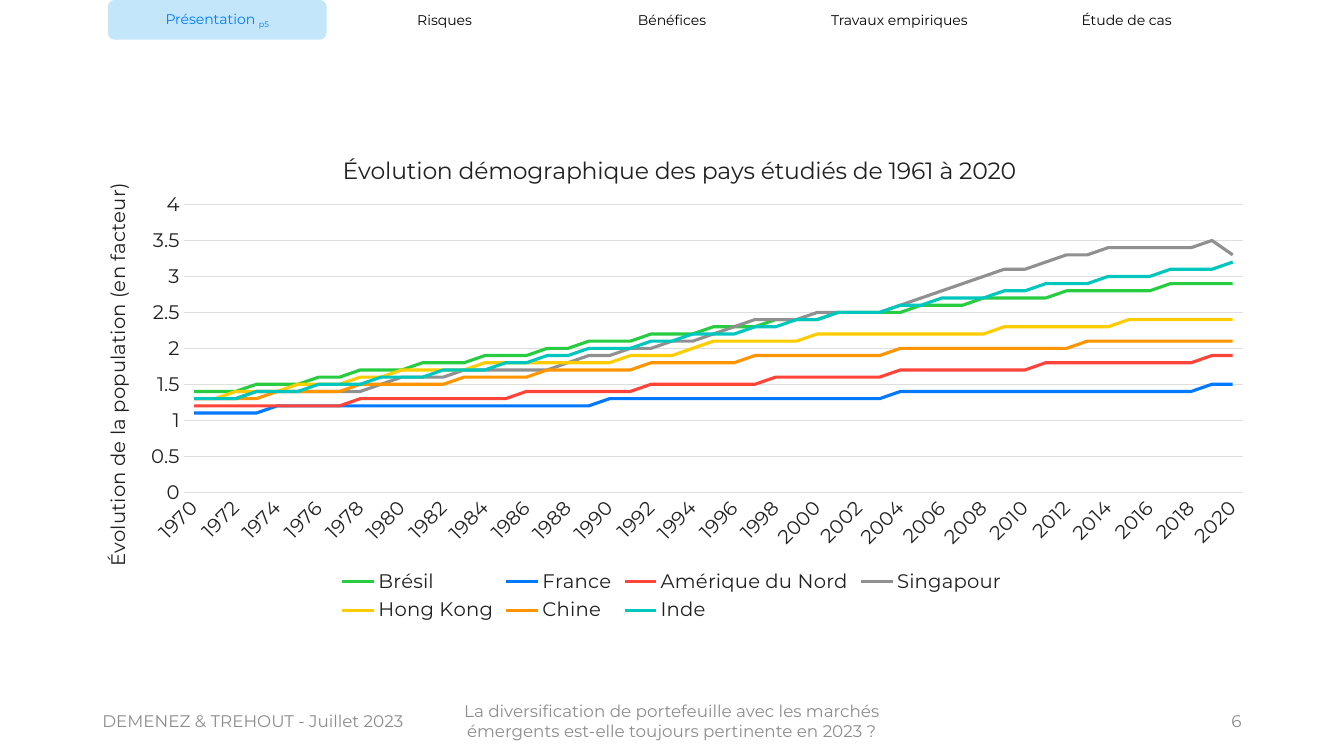
from lxml import etree
from pptx import Presentation
from pptx import util as u
from pptx.chart.data import CategoryChartData
from pptx.dml.color import RGBColor
from pptx.enum import chart as charts, shapes, text
from pptx.oxml.ns import qn

FONT = "Montserrat"
WHITE = RGBColor(0xFF, 0xFF, 0xFF)
BLACK = RGBColor(0x00, 0x00, 0x00)
TAB_FILL = RGBColor(0xC3, 0xE6, 0xFB)
TAB_TEXT = RGBColor(0x00, 0x7C, 0xFB)
CHART_TEXT = RGBColor(0x21, 0x21, 0x21)
GRID = RGBColor(0xDE, 0xDE, 0xDE)
FOOTER = RGBColor(0x8D, 0x8D, 0x8D)
GREEN = RGBColor(0x28, 0xCC, 0x41)
BLUE = RGBColor(0x00, 0x79, 0xFF)
RED = RGBColor(0xFF, 0x45, 0x3A)
GREY = RGBColor(0x90, 0x90, 0x90)
YELLOW = RGBColor(0xFF, 0xCC, 0x00)
ORANGE = RGBColor(0xFF, 0x95, 0x00)
TEAL = RGBColor(0x00, 0xC7, 0xBD)

TABS = ["Présentation ", "Risques", "Bénéfices", "Travaux empiriques", "Étude de cas"]
YEARS = range(1970, 2021)
# Turning points of each curve, by year
POPULATION = [
    ("Brésil", GREEN, {1970: 1.36, 1985: 1.91, 2000: 2.44, 2010: 2.71, 2020: 2.93}),
    ("France", BLUE, {1970: 1.11, 1974: 1.16, 1991: 1.26, 2005: 1.36, 2020: 1.46}),
    ("Amérique du Nord", RED, {1970: 1.16, 1986: 1.36, 2004: 1.66, 2019: 1.86, 2020: 1.86}),
    ("Singapour", GREY, {
        1970: 1.27, 1973: 1.36, 1978: 1.44, 1981: 1.61, 1983: 1.67, 1985: 1.67, 1987: 1.73,
        1990: 1.92, 1994: 2.14, 1997: 2.39, 1999: 2.44, 2000: 2.52, 2003: 2.53, 2005: 2.68,
        2007: 2.94, 2008: 3.03, 2010: 3.14, 2012: 3.28, 2015: 3.4, 2019: 3.46, 2020: 3.32}),
    ("Hong Kong", YELLOW, {
        1970: 1.3, 1975: 1.46, 1977: 1.49, 1978: 1.59, 1980: 1.66, 1984: 1.76, 1990: 1.84,
        1994: 1.98, 1995: 2.07, 2000: 2.16, 2009: 2.26, 2018: 2.41, 2020: 2.38}),
    ("Chine", ORANGE, {1970: 1.26, 1978: 1.46, 1992: 1.76, 1997: 1.86, 2004: 1.96,
                       2013: 2.06, 2020: 2.12}),
    ("Inde", TEAL, {1970: 1.27, 1985: 1.77, 1989: 1.96, 1996: 2.24, 2001: 2.46, 2011: 2.86,
                    2020: 3.16}),
]


def yearly_values(turns):
    """Fill in every year between the turning points, to one decimal."""
    values = []
    for year in YEARS:
        before = max(turn for turn in turns if turn <= year)
        after = min(turn for turn in turns if turn >= year)
        share = (year - before) / max(after - before, 1)
        values.append(round(turns[before] + share * (turns[after] - turns[before]), 1))
    return values


def style(font, size, color):
    font.name = FONT
    font.size = u.Pt(size)
    font.bold = False
    font.color.rgb = color


def add_navigation(page, left, top, width, height):
    gap = 0.22
    tab_width = (width - gap * (len(TABS) - 1)) / len(TABS)
    for index, name in enumerate(TABS):
        active = index == 0
        tab = page.shapes.add_shape(
            shapes.MSO_SHAPE.ROUNDED_RECTANGLE, u.Cm(left + index * (tab_width + gap)),
            u.Cm(top), u.Cm(tab_width), u.Cm(height))
        tab.shadow.inherit = False
        tab.line.fill.background()
        if active:
            tab.fill.solid()
            tab.fill.fore_color.rgb = TAB_FILL
        else:
            tab.fill.background()
        tab.text_frame.vertical_anchor = text.MSO_ANCHOR.MIDDLE
        para = tab.text_frame.paragraphs[0]
        para.text = name
        para.alignment = text.PP_ALIGN.CENTER
        if active:
            page_mark = para.add_run()
            page_mark.text = "p5"
            page_mark.font._element.set("baseline", "-25000")
        for span in para.runs:
            style(span.font, 10, TAB_TEXT if active else BLACK)


def set_layout(parent, index, **fractions):
    """Place a chart part by fractions of the chart's width and height."""
    for old in parent.findall(qn("c:layout")):
        parent.remove(old)
    layout = etree.Element(qn("c:layout"))
    parent.insert(index, layout)
    manual = etree.SubElement(layout, qn("c:manualLayout"))
    if "w" in fractions:
        etree.SubElement(manual, qn("c:layoutTarget"), val="inner")
    for side in "xy":
        etree.SubElement(manual, qn(f"c:{side}Mode"), val="edge")
    for key, value in fractions.items():
        etree.SubElement(manual, qn(f"c:{key}"), val=str(value))


def set_title(title, wording, size, x, y):
    title.text_frame.text = wording
    style(title.text_frame.paragraphs[0].runs[0].font, size, CHART_TEXT)
    set_layout(title._element, 1, x=x, y=y)


def format_axes(chart):
    years, factor = chart.category_axis, chart.value_axis
    for axis in (years, factor):
        axis.major_tick_mark = axis.minor_tick_mark = charts.XL_TICK_MARK.NONE
        style(axis.tick_labels.font, 14, CHART_TEXT)
    years.format.line.color.rgb = GRID
    years.format.line.width = u.Pt(0.75)
    years._element.txPr.find(qn("a:bodyPr")).set("rot", "-2700000")
    skip = etree.Element(qn("c:tickLblSkip"), val="2")
    years._element.find(qn("c:noMultiLvlLbl")).addprevious(skip)

    factor.minimum_scale, factor.maximum_scale, factor.major_unit = 0, 4, 0.5
    factor.format.line.fill.background()
    factor.major_gridlines.format.line.color.rgb = GRID
    factor.major_gridlines.format.line.width = u.Pt(0.75)
    set_title(factor.axis_title, "Évolution de la population (en facteur)", 14, 0.02, 0.1)


def add_population_chart(page, left, top, width, height):
    data = CategoryChartData()
    data.categories = [str(year) for year in YEARS]
    for country, _, turns in POPULATION:
        data.add_series(country, yearly_values(turns))
    chart = page.shapes.add_chart(
        charts.XL_CHART_TYPE.LINE, u.Cm(left), u.Cm(top), u.Cm(width), u.Cm(height), data).chart
    style(chart.font, 14, CHART_TEXT)
    set_title(chart.chart_title, "Évolution démographique des pays étudiés de 1961 à 2020",
              16.8, 0.22, 0.04)
    format_axes(chart)
    set_layout(chart._chartSpace.chart.plotArea, 0, x=0.09, y=0.15, w=0.89, h=0.58)

    chart.has_legend = True
    chart.legend.position = charts.XL_LEGEND_POSITION.BOTTOM
    chart.legend.include_in_layout = False
    style(chart.legend.font, 14, CHART_TEXT)
    chart.plots[0].vary_by_categories = False
    for series, (_, color, _) in zip(chart.plots[0].series, POPULATION):
        series.smooth = False
        series.marker.style = charts.XL_MARKER_STYLE.NONE
        series.format.line.color.rgb = color
        series.format.line.width = u.Pt(2.25)


def add_footer(page, left, top, width, height):
    center_width, number_width = 11.43, 7.62
    parts = [
        ("DEMENEZ & TREHOUT - Juillet 2023", left, 8.26, text.PP_ALIGN.LEFT),
        ("La diversification de portefeuille avec les marchés émergents est-elle "
         "toujours pertinente en 2023 ?",
         left + (width - center_width) / 2, center_width, text.PP_ALIGN.CENTER),
        ("6", left + width - number_width, number_width, text.PP_ALIGN.RIGHT),
    ]
    for wording, x, part_width, alignment in parts:
        box = page.shapes.add_textbox(u.Cm(x), u.Cm(top), u.Cm(part_width), u.Cm(height))
        box.text_frame.word_wrap = True
        box.text_frame.vertical_anchor = text.MSO_ANCHOR.MIDDLE
        para = box.text_frame.paragraphs[0]
        para.text = wording
        para.alignment = alignment
        style(para.runs[0].font, 12, FOOTER)


def main():
    deck = Presentation()
    deck.slide_width, deck.slide_height = u.Cm(33.87), u.Cm(19.05)
    page = deck.slides.add_slide(deck.slide_layouts[6])
    page.background.fill.solid()
    page.background.fill.fore_color.rgb = WHITE
    add_navigation(page, 2.72, 0, 28.43, 1)
    add_population_chart(page, 1.93, 3.28, 30, 12.5)
    add_footer(page, 2.33, 17.65, 29.21, 1.02)
    deck.save("out.pptx")


if __name__ == "__main__":
    main()
